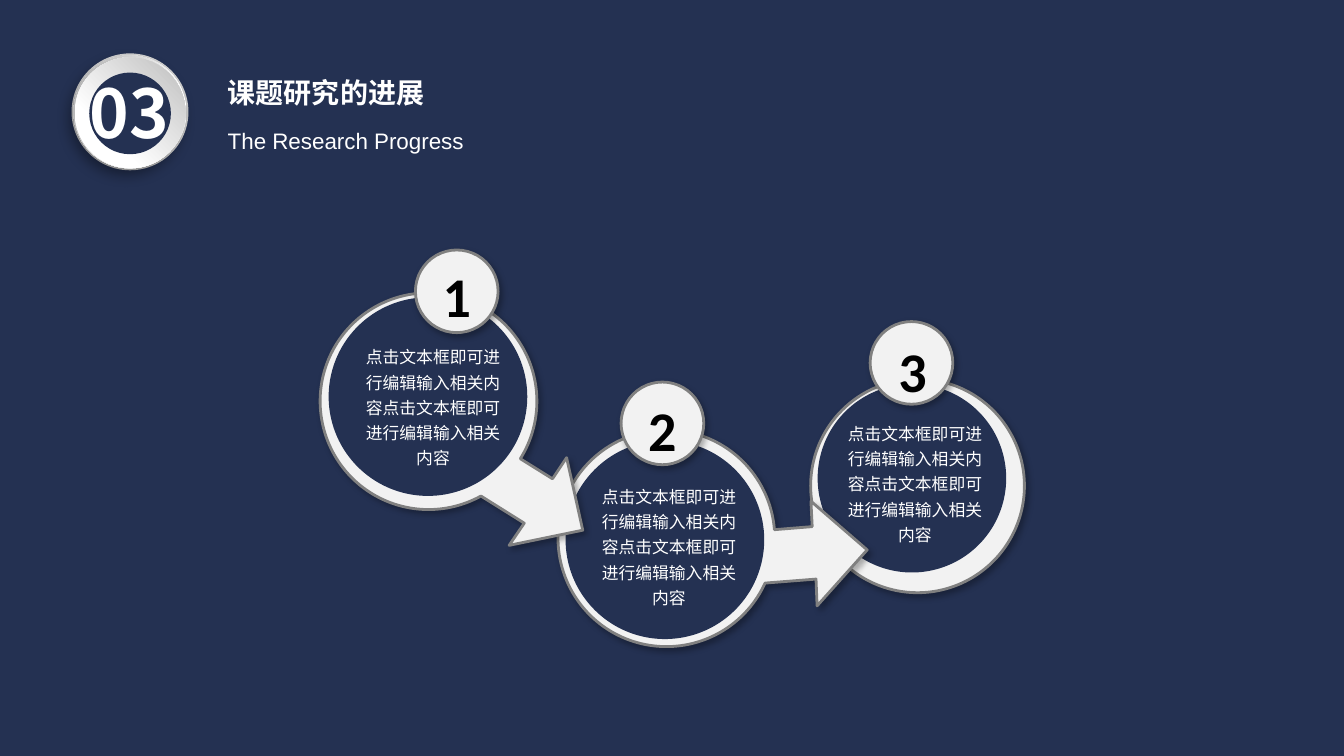
from math import atan2, cos, pi, radians, sin, tan
from lxml import etree
from pptx import Presentation
from pptx.dml.color import RGBColor
from pptx.enum.shapes import MSO_SHAPE
from pptx.enum.text import MSO_ANCHOR, MSO_AUTO_SIZE, PP_ALIGN
from pptx.oxml.ns import qn
from pptx.util import Inches, Pt

OVAL, SNIP = MSO_SHAPE.OVAL, MSO_SHAPE.SNIP_1_RECTANGLE
TOP = MSO_ANCHOR.TOP
FIXED = MSO_AUTO_SIZE.NONE
LEFT, MID = PP_ALIGN.LEFT, PP_ALIGN.CENTER

HUES = {"navy": "243152", "pale": "F2F2F2", "edge": "808080", "rim": "D3D3D3",
        "white": "FFFFFF", "ash": "B8B8B8", "grey": "BFBFBF", "black": "000000"}
INK = {name: RGBColor.from_string(code) for name, code in HUES.items()}
SANS = "Noto Sans CJK SC"
CELL = Inches(0.1)

deck = Presentation()
deck.slide_width, deck.slide_height = Inches(13.33), Inches(7.5)
slide = deck.slides.add_slide(deck.slide_layouts[5])
slide.background.fill.solid()
slide.background.fill.fore_color.rgb = INK["navy"]
shapes = slide.shapes


def paint(shape, fill, edge=None, shade=None):
    shape.shadow.inherit = False
    if fill:
        shape.fill.solid()
        shape.fill.fore_color.rgb = INK[fill]
    else:
        shape.fill.background()
    if edge:
        shape.line.color.rgb = INK[edge]
        shape.line.width = Pt(2)
    else:
        shape.line.fill.background()
    if shade:
        alpha, blur, dist, angle = shade
        effects = shape._element.spPr.find(qn("a:effectLst"))
        cast = etree.SubElement(effects, qn("a:outerShdw"), blurRad=str(Pt(blur)),
                                dist=str(Pt(dist)), dir=str(angle * 60000),
                                algn="ctr", rotWithShape="0")
        tint = etree.SubElement(cast, qn("a:srgbClr"), val=HUES["black"])
        etree.SubElement(tint, qn("a:alpha"), val=str(alpha * 1000))


def write(box, place, text, size, font, hue, bold=False, align=MID, pitch=1.0):
    box.left, box.top, box.width, box.height = [round(n * CELL) for n in place]
    frame = box.text_frame
    frame.word_wrap = True
    frame.auto_size = FIXED
    frame.vertical_anchor = TOP
    para = frame.paragraphs[0]
    para.alignment, para.line_spacing = align, pitch
    run = para.add_run()
    run.text = text
    run.font.size, run.font.bold, run.font.name = Pt(size), bold, font
    run.font.color.rgb = INK[hue]
    etree.SubElement(run._r.get_or_add_rPr(), qn("a:ea"), typeface=font)


SOFT = (30, 4.5, 2.6, 53)
ARROW = [(9.1, 5.7), (12.3, 7.7), (13.7, 5.6), (15.3, 12.8),
         (8, 14.3), (9.5, 12.1), (5.2, 9.4)]
ARCS = 5
NOTE = "点击文本框即可进行编辑输入相关内容" * 2
STEPS = [
    ("3", (91, 48.2), 10.6, None, (81.1, 38.1, 18.7), (86.3, 31.9), (86.7, 30.9), (82.8, 41.05)),
    ("2", (66.1, 53.4), 10.75, -36.6, (56.1, 43.7, 19.7), (61.6, 37.9), (61.9, 36.7), (58.4, 47.3)),
    ("1", (42.5, 39.8), 10.75, 0, (32.6, 29.5, 19.7), (41.2, 24.8), (41.5, 23.5), (35, 33.45)),
]

for label, (mx, my), rad, turn, (dx, dy, disc), spot, (tx, ty), (nx, ny) in STEPS:
    if turn is None:
        ring = shapes.add_shape(OVAL, *[round(n * CELL) for n in
                                        (mx - rad, my - rad, 2 * rad, 2 * rad)])
    else:
        start = atan2(ARROW[-1][1], ARROW[-1][0])
        step = (2 * pi + atan2(ARROW[0][1], ARROW[0][0]) - start) / ARCS
        pull = 4 / 3 * tan(step / 4)
        track = [(rad * cos(start), rad * sin(start))]
        for i in range(ARCS):
            a, b = start + i * step, start + (i + 1) * step
            track += [(rad * (cos(a) - pull * sin(a)), rad * (sin(a) + pull * cos(a))),
                      (rad * (cos(b) + pull * sin(b)), rad * (sin(b) - pull * cos(b))),
                      (rad * cos(b), rad * sin(b))]
        spin = radians(turn)
        points = [(round((mx + x * cos(spin) - y * sin(spin)) * CELL),
                   round((my + x * sin(spin) + y * cos(spin)) * CELL))
                  for x, y in track + ARROW[1:-1]]
        pen = shapes.build_freeform(*points[0])
        pen.add_line_segments(points[1:], close=True)
        ring = pen.convert_to_shape()
        lines = list(ring._element.iter(qn("a:lnTo")))
        for i in range(0, 3 * ARCS, 3):
            curve = etree.Element(qn("a:cubicBezTo"))
            lines[i].addprevious(curve)
            for line in lines[i:i + 3]:
                curve.append(line[0])
                line.getparent().remove(line)
    paint(ring, "pale", "edge", SOFT)
    core = shapes.add_shape(OVAL, *[round(n * CELL) for n in (dx, dy, disc, disc)])
    paint(core, "navy")
    badge = shapes.add_shape(OVAL, *[round(n * CELL) for n in (*spot, 8.2, 8.2)])
    paint(badge, "pale", "edge", SOFT)
    write(shapes.add_textbox(0, 0, 0, 0), (tx, ty, 7.6, 9.9), label,
          40, "Calibri", "black", True, pitch=1.3)
    write(shapes.add_textbox(0, 0, 0, 0), (nx, ny, 15.9, 13.6), NOTE,
          12, SANS, "white", pitch=1.25)

RINGS = [(11.6, 11.1, "rim", None, None),
         (11.2, 11.1, None, (163, 17, 88, "ash"), (39, 10, 5, 123)),
         (11, 11.2, None, (45, 29, 98, "grey"), None),
         (8.1, 11.25, "navy", None, None)]
for size, mid, fill, blend, shade in RINGS:
    disc = shapes.add_shape(OVAL, *[round(n * CELL) for n in
                                    (12.9 - size / 2, mid - size / 2, size, size)])
    paint(disc, fill, shade=shade)
    if blend:
        angle, near, far, tone = blend
        disc.fill.gradient()
        disc.fill.gradient_angle = angle
        for stop, share, hue in zip(disc.fill.gradient_stops, (near, far), ("white", tone)):
            stop.position = share / 100
            stop.color.rgb = INK[hue]
write(shapes.add_textbox(0, 0, 0, 0), (5.9, 6.6, 13.9, 9.1), "03", 48, SANS, "white", True)

write(shapes.title, (21.6, 7, 54.2, 4.4), "课题研究的进展", 20, SANS, "white", True, LEFT)
label = shapes.add_shape(SNIP, 0, 0, CELL, CELL)
label.adjustments[0] = 0
paint(label, None)
write(label, (21.6, 12.1, 54.9, 3.7), "The Research Progress", 16, "Arial",
      "white", align=LEFT)

deck.save("out.pptx")
